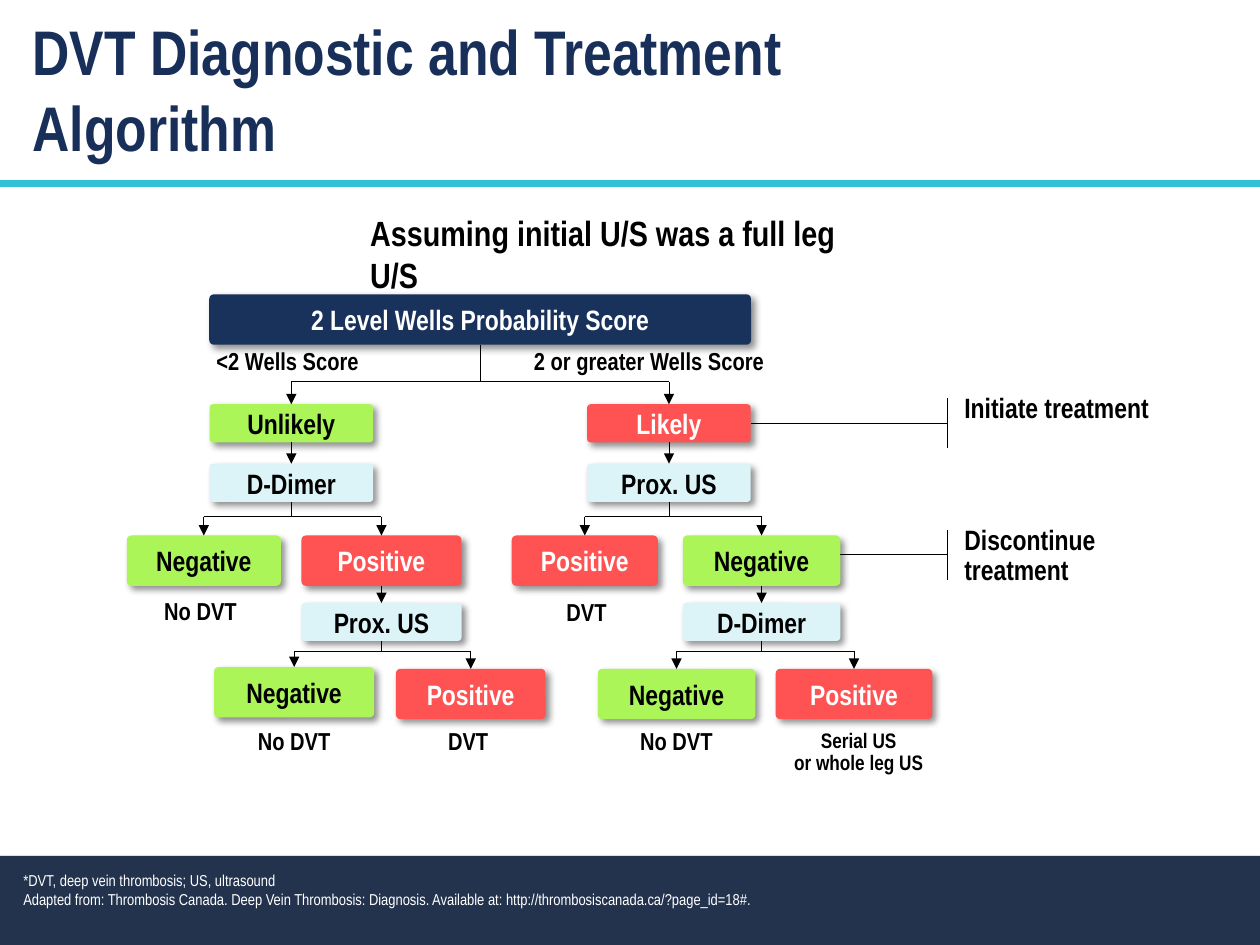
from lxml import etree
from pptx import Presentation
from pptx.dml.color import RGBColor
from pptx.enum import shapes as sh, text as tx
from pptx.oxml.ns import qn
from pptx.util import Pt

FONT = "Arial Narrow"
HUES = {
    "title": "183059", "rule": "30C1D7", "foot": "23334E", "head": "19325C",
    "test": "DCF4F8", "good": "ABF559", "bad": "FF5353",
    "black": "000000", "white": "FFFFFF",
}
LEFT, MID = tx.PP_ALIGN.LEFT, tx.PP_ALIGN.CENTER


def hue(name):
    return RGBColor.from_string(HUES[name])


def write(frame, words, size, tone, align=LEFT, bold=True, gap=None):
    """Fill a text frame, one paragraph for each line of words."""
    frame.word_wrap = True
    frame.text = words
    for para in frame.paragraphs:
        para.alignment = align
        para.line_spacing = gap
        font = para.font
        font.name, font.size, font.bold = FONT, Pt(size), bold
        font.color.rgb = hue(tone)


def label(slide, words, left, top, wide, high, size=14, **style):
    area = slide.shapes.add_textbox(Pt(left), Pt(top), Pt(wide), Pt(high))
    write(area.text_frame, words, size, style.pop("tone", "black"), **style)


def shade(shape, alpha, blur, dist, angle):
    """Give the shape an outer shadow of its own."""
    shape.shadow.inherit = False
    effects = shape._element.spPr.find(qn("a:effectLst"))
    outer = etree.SubElement(
        effects, qn("a:outerShdw"), blurRad=str(Pt(blur)), dist=str(Pt(dist)),
        dir=str(angle * 60000), algn="ctr", rotWithShape="0")
    ink = etree.SubElement(outer, qn("a:srgbClr"), val=HUES["black"])
    etree.SubElement(ink, qn("a:alpha"), val=str(alpha * 1000))


def panel(slide, kind, left, top, wide, high, tone):
    shape = slide.shapes.add_shape(kind, Pt(left), Pt(top), Pt(wide), Pt(high))
    shape.fill.solid()
    shape.fill.fore_color.rgb = hue(tone)
    shape.line.fill.background()
    return shape


def box(slide, words, mid, top, wide, high, tone):
    """Draw a step of the flow, centred on mid."""
    shape = panel(slide, sh.MSO_SHAPE.ROUNDED_RECTANGLE,
                  mid - wide / 2, top, wide, high, tone)
    shape.adjustments[0] = 0.09
    shade(shape, 43, 4, 3, 45)
    frame = shape.text_frame
    frame.margin_top = frame.margin_bottom = 0
    frame.vertical_anchor = tx.MSO_ANCHOR.MIDDLE
    ink = "white" if tone in ("head", "bad") else "black"
    write(frame, words, 16, ink, MID)
    return shape


def wire(slide, start, end, tone="black", thick=0.5, tip=False):
    """Draw a line; each end is an (x, y) point or a (shape, site) pair."""
    line = slide.shapes.add_connector(sh.MSO_CONNECTOR.STRAIGHT, 0, 0, 0, 0)
    if isinstance(start[0], (int, float)):
        line.begin_x, line.begin_y = map(Pt, start)
    else:
        line.begin_connect(*start)
    if isinstance(end[0], (int, float)):
        line.end_x, line.end_y = map(Pt, end)
    else:
        line.end_connect(*end)
    line.line.color.rgb = hue(tone)
    line.line.width = Pt(thick)
    if tip:
        etree.SubElement(line.line._get_or_add_ln(), qn("a:tailEnd"), type="triangle")
    etree.SubElement(line._element.spPr, qn("a:effectLst"))


def centre(shape):
    return (shape.left + shape.width / 2) / Pt(1)


def fork(slide, top, kids, level):
    """Split the flow below one box into two boxes."""
    wire(slide, (top, 2), (centre(top), level))
    wire(slide, *[(centre(kid), level) for kid in kids])
    for kid in kids:
        wire(slide, (centre(kid), level), (kid, 0), tip=True)


def step(slide, top, kid):
    wire(slide, (top, 2), (kid, 0), tip=True)


def branch(slide, first, test, mid, tone):
    """Draw a likelihood box and the test that follows it."""
    head = box(slide, first, mid, 231, 93.5, 21.8, tone)
    exam = box(slide, test, mid, 265, 93.5, 21.8, "test")
    step(slide, head, exam)
    return head, exam


def note(slide, words, start, y, top):
    """Tie a remark at the right to a box."""
    edge = 541.5
    wire(slide, start, (edge, y))
    wire(slide, (edge, y - 14.2), (edge, y + 14.2), thick=1)
    label(slide, words, edge + 2.5, top, 134, 42, 16, gap=0.9)


def chart(slide):
    score = box(slide, "2 Level Wells Probability Score", 274.4, 168.2, 309.6, 28.8, "head")
    low, dimer = branch(slide, "Unlikely", "D-Dimer", 166.5, "good")
    high, prox = branch(slide, "Likely", "Prox. US", 382.3, "bad")
    fork(slide, score, (low, high), 218.2)

    row = 306
    lneg = box(slide, "Negative", 116.5, row, 88, 28.8, "good")
    lpos = box(slide, "Positive", 218, row, 91.5, 28.8, "bad")
    rpos = box(slide, "Positive", 334.2, row, 83.5, 28.8, "bad")
    rneg = box(slide, "Negative", 435.2, row, 90, 28.8, "good")
    fork(slide, dimer, (lneg, lpos), 295.2)
    fork(slide, prox, (rpos, rneg), 295.2)

    lexam = box(slide, "Prox. US", 218, 344.6, 91.5, 21.6, "test")
    rexam = box(slide, "D-Dimer", 435.2, 344.6, 90, 21.6, "test")
    step(slide, lpos, lexam)
    step(slide, rneg, rexam)

    lends = (box(slide, "Negative", 168.1, 381.2, 91.5, 28.8, "good"),
             box(slide, "Positive", 269, 382.2, 85.5, 28.8, "bad"))
    rends = (box(slide, "Negative", 386.6, 382.2, 90, 28.8, "good"),
             box(slide, "Positive", 488, 382.2, 89.5, 28.8, "bad"))
    fork(slide, lexam, lends, 372)
    fork(slide, rexam, rends, 372)

    note(slide, "Initiate treatment", (high, 3), 241.9, 221.8)
    note(slide, "Discontinue treatment", (480.2, 317), 317, 297.4)


def main():
    deck = Presentation()
    deck.slide_width, deck.slide_height = Pt(720), Pt(540)
    slide = deck.slides.add_slide(deck.slide_layouts[5])

    foot = panel(slide, sh.MSO_SHAPE.RECTANGLE, 0, 489, 720, 51, "foot")
    shade(foot, 35, 3.1, 1.8, 90)
    label(slide, "*DVT, deep vein thrombosis; US, ultrasound\n"
          "Adapted from: Thrombosis Canada. Deep Vein Thrombosis: Diagnosis. "
          "Available at: http://thrombosiscanada.ca/?page_id=18#.",
          6.2, 494, 708, 29, 9, tone="white", bold=False)

    title = slide.shapes.title
    title.left, title.top, title.width, title.height = map(Pt, (11.5, 3.6, 556.5, 98))
    frame = title.text_frame
    frame.vertical_anchor = tx.MSO_ANCHOR.TOP
    frame.auto_size = tx.MSO_AUTO_SIZE.NONE
    write(frame, "DVT Diagnostic and Treatment Algorithm", 36, "title")
    wire(slide, (0, 104.9), (720, 104.9), "rule", 4.5)

    label(slide, "Assuming initial U/S was a full leg U/S", 204.5, 117.4, 305, 54, 20)
    chart(slide)
    label(slide, "<2 Wells Score", 116.6, 194.4, 110, 24.5)
    label(slide, "2 or greater Wells Score", 298, 194.4, 160, 24.5)
    for words, mid, top in (("No DVT", 114.6, 337.2), ("DVT", 335.2, 337.6),
                            ("No DVT", 168.1, 411.3), ("DVT", 267.6, 411.3),
                            ("No DVT", 386.6, 411.3)):
        label(slide, words, mid - 37.5, top, 75, 24.5, align=MID)
    label(slide, "Serial US\nor whole leg US", 443.2, 414.5, 95, 32, 12, align=MID, gap=0.85)
    deck.save("out.pptx")


if __name__ == "__main__":
    main()
